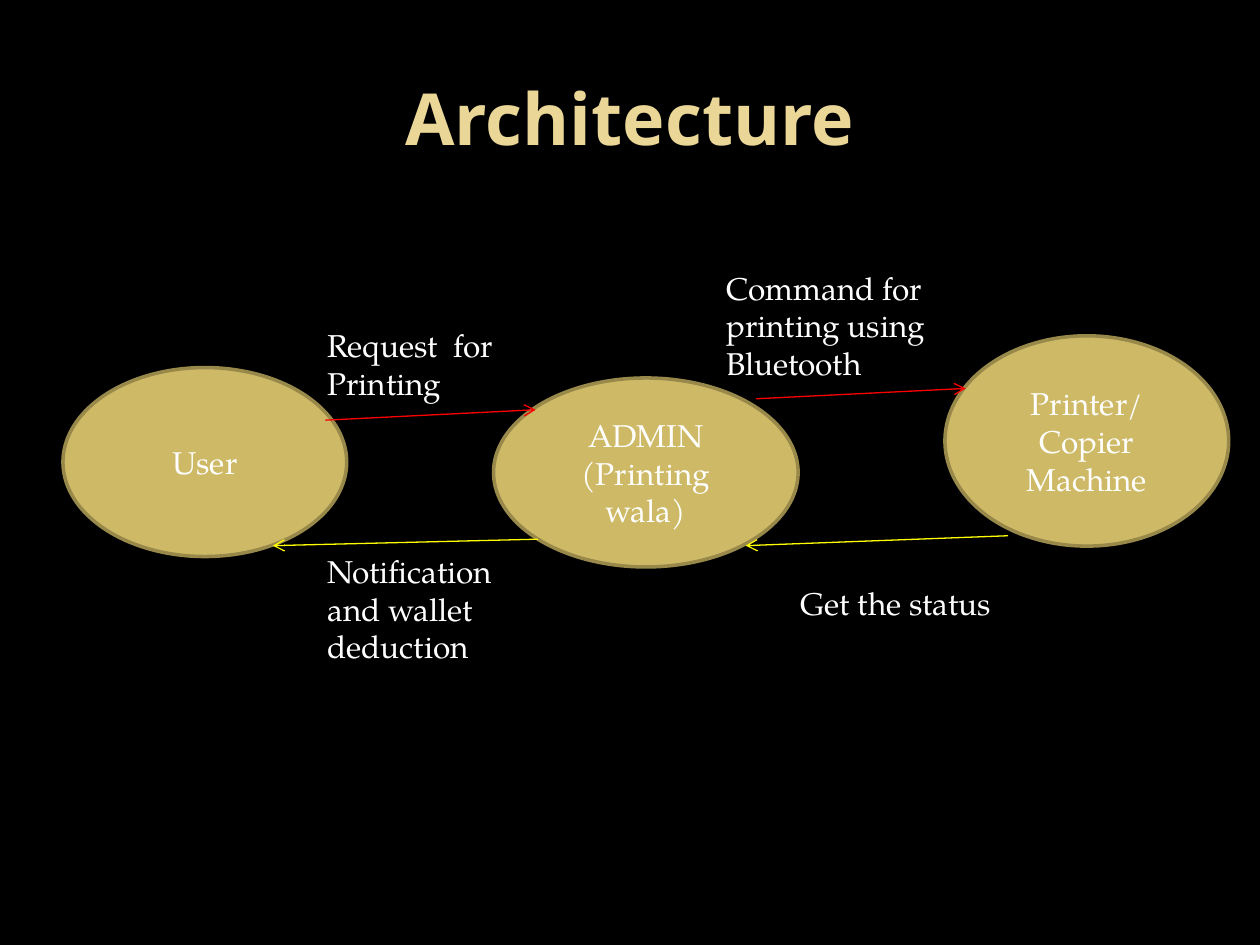
"""Build the architecture slide: three actors and the messages between them."""
from typing import NamedTuple

from lxml import etree
from pptx import Presentation
from pptx import util as u
from pptx.dml.color import RGBColor
from pptx.enum import shapes, text
from pptx.oxml.ns import qn

COLORS = {
    "background": "000000",
    "title": "EAD696",
    "actor": "CEB966",
    "outline": "98894B",
    "text": "FFFFFF",
    "request": "FF0000",
    "reply": "FFFF00",
}
BODY_FONT = "TeX Gyre Pagella"
TITLE_FONT = "Open Sans"


class Block(NamedTuple):
    wording: str
    left: float
    top: float
    width: float
    height: float


class Arrow(NamedTuple):
    start: tuple[float, float]
    end: tuple[float, float]
    color: str


TITLE = Block("Architecture", 1.27, 0.76, 22.86, 3.18)
ACTORS = [
    Block("User", 1.27, 7.41, 5.72, 3.81),
    Block("ADMIN (Printing wala)", 9.95, 7.62, 6.14, 3.81),
    Block("Printer/Copier Machine", 19.05, 6.77, 5.72, 4.24),
]
LABELS = [
    Block("Request  for Printing", 6.35, 6.45, 4.65, 1.8),
    Block("Command for printing using Bluetooth", 14.39, 5.29, 5.29, 2.57),
    Block("Notification and wallet deduction", 6.35, 11, 4.45, 2.57),
    Block("Get the status", 15.88, 11.64, 4.45, 1.02),
]
ARROWS = [
    Arrow((6.56, 8.47), (10.8, 8.26), "request"),
    Arrow((15.24, 8.04), (19.47, 7.83), "request"),
    Arrow((10.85, 10.87), (5.5, 11), "reply"),
    Arrow((20.32, 10.8), (15.03, 11), "reply"),
]


def color(name: str) -> RGBColor:
    return RGBColor.from_string(COLORS[name])


def bounds(block: Block) -> list[u.Length]:
    return [u.Cm(length) for length in block[1:]]


def write(shape, wording: str, alignment, anchor, size=18, font=BODY_FONT,
          color_name="text", bold=False) -> None:
    frame = shape.text_frame
    frame.word_wrap = True
    frame.vertical_anchor = anchor
    paragraph = frame.paragraphs[0]
    paragraph.text = wording
    paragraph.alignment = alignment
    paragraph.font.name = font
    paragraph.font.size = u.Pt(size)
    paragraph.font.bold = bold
    paragraph.font.color.rgb = color(color_name)


def add_actor(slide, actor: Block) -> None:
    shape = slide.shapes.add_shape(shapes.MSO_SHAPE.OVAL, *bounds(actor))
    shape.shadow.inherit = False
    shape.fill.solid()
    shape.fill.fore_color.rgb = color("actor")
    shape.line.color.rgb = color("outline")
    shape.line.width = u.Pt(2)
    write(shape, actor.wording, text.PP_ALIGN.CENTER, text.MSO_ANCHOR.MIDDLE)


def add_label(slide, label: Block) -> None:
    shape = slide.shapes.add_textbox(*bounds(label))
    write(shape, label.wording, text.PP_ALIGN.LEFT, text.MSO_ANCHOR.TOP)
    shape.text_frame.auto_size = text.MSO_AUTO_SIZE.SHAPE_TO_FIT_TEXT


def add_arrow(slide, arrow: Arrow) -> None:
    points = [u.Cm(length) for length in arrow.start + arrow.end]
    connector = slide.shapes.add_connector(shapes.MSO_CONNECTOR.STRAIGHT, *points)
    connector.line.color.rgb = color(arrow.color)
    connector.line.width = u.Pt(0.75)
    etree.SubElement(connector.line._get_or_add_ln(), qn("a:tailEnd"), type="arrow")
    etree.SubElement(connector._element.spPr, qn("a:effectLst"))


def main() -> None:
    presentation = Presentation()
    presentation.slide_width = u.Cm(25.4)
    presentation.slide_height = u.Cm(19.05)
    slide = presentation.slides.add_slide(presentation.slide_layouts[6])
    slide.background.fill.solid()
    slide.background.fill.fore_color.rgb = color("background")

    title = slide.shapes.add_textbox(*bounds(TITLE))
    write(title, TITLE.wording, text.PP_ALIGN.CENTER, text.MSO_ANCHOR.MIDDLE,
          41, TITLE_FONT, "title", True)
    for actor in ACTORS:
        add_actor(slide, actor)
    for arrow in ARROWS:
        add_arrow(slide, arrow)
    for label in LABELS:
        add_label(slide, label)
    presentation.save("out.pptx")


main()
